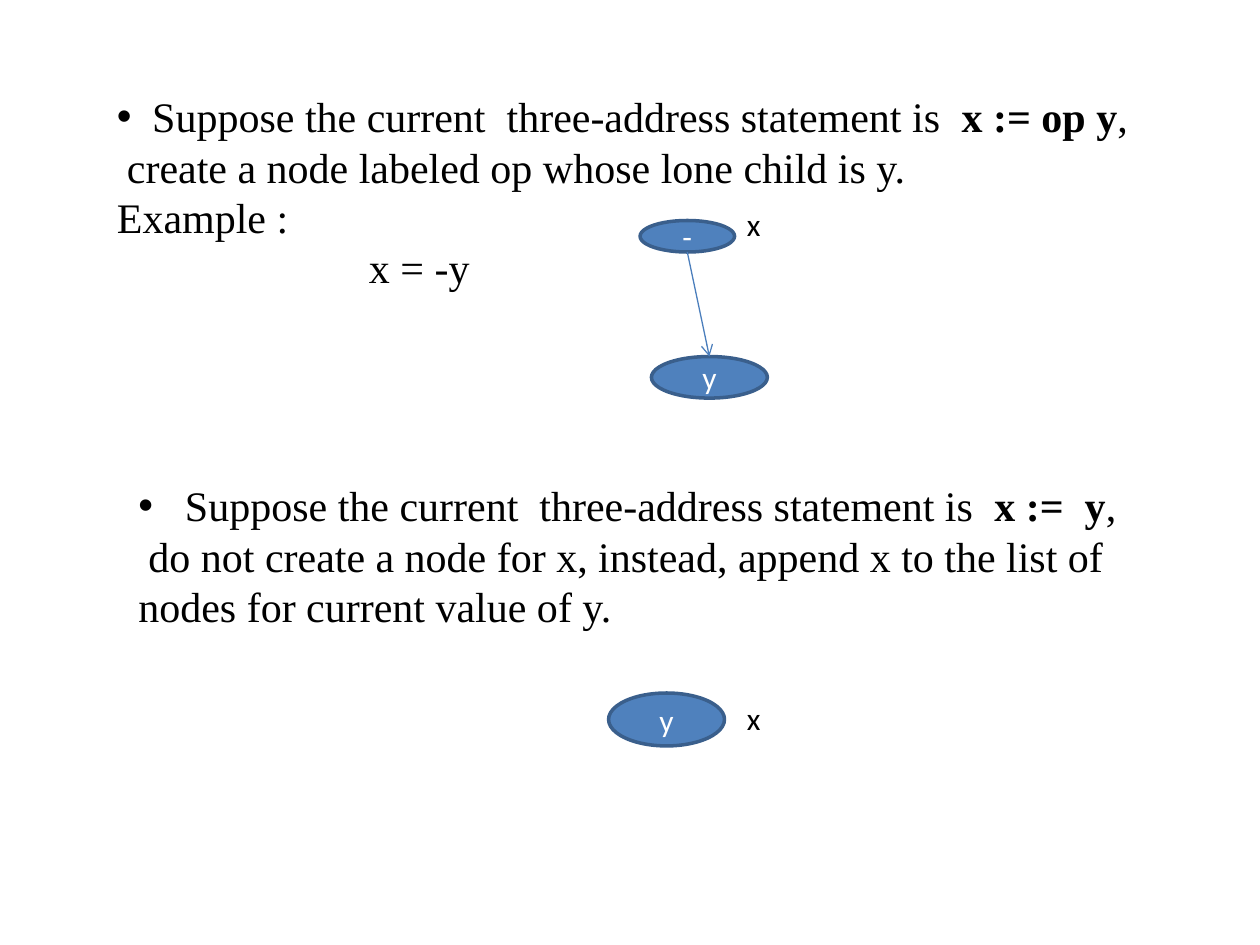
from lxml.etree import SubElement
from pptx import Presentation
from pptx.dml.color import RGBColor
from pptx.enum.shapes import MSO_CONNECTOR, MSO_SHAPE
from pptx.enum.text import MSO_ANCHOR, PP_ALIGN
from pptx.oxml.ns import qn
from pptx.util import Inches, Pt

COLORS = {"text": "000000", "node": "4F81BD", "outline": "3A5F8C",
          "edge": "4B7EBC", "node_text": "FFFFFF"}
BODY_FONT = "Times New Roman"
LABEL_FONT = "Calibri"


def color(key):
    return RGBColor.from_string(COLORS[key])


def set_font(paragraph, name, size, color_key):
    paragraph.font.name = name
    paragraph.font.size = Pt(size)
    paragraph.font.color.rgb = color(color_key)


def set_indent(paragraph, margin, first_line, bullet=False):
    properties = paragraph._p.get_or_add_pPr()
    properties.set("marL", str(Inches(margin)))
    properties.set("indent", str(Inches(first_line)))
    if bullet:
        marker_font = SubElement(properties, qn("a:buFont"))
        marker_font.set("typeface", "Arial")
        SubElement(properties, qn("a:buChar")).set("char", "•")


def add_text_frame(slide, left, top, width, height):
    box = slide.shapes.add_textbox(
        Inches(left), Inches(top), Inches(width), Inches(height))
    box.text_frame.word_wrap = True
    return box.text_frame


def add_rule(slide, left, top, width, height, hang, statement, lines):
    frame = add_text_frame(slide, left, top, width, height)
    heading = frame.paragraphs[0]
    heading.add_run().text = "Suppose the current  three-address statement is  "
    formula = heading.add_run()
    formula.text = statement
    formula.font.bold = True
    heading.add_run().text = ","
    set_indent(heading, hang, -hang, bullet=True)
    for line, first_line in lines:
        paragraph = frame.add_paragraph()
        paragraph.text = line
        set_indent(paragraph, 0, first_line)
    for paragraph in frame.paragraphs:
        set_font(paragraph, BODY_FONT, 24, "text")


def add_label(slide, left, top, width, height, text):
    paragraph = add_text_frame(slide, left, top, width, height).paragraphs[0]
    paragraph.text = text
    set_font(paragraph, LABEL_FONT, 18, "text")


def add_node(slide, left, top, width, height, text):
    node = slide.shapes.add_shape(
        MSO_SHAPE.OVAL, Inches(left), Inches(top), Inches(width), Inches(height))
    node.shadow.inherit = False
    node.fill.solid()
    node.fill.fore_color.rgb = color("node")
    node.line.color.rgb = color("outline")
    node.line.width = Pt(2)
    node.text_frame.vertical_anchor = MSO_ANCHOR.MIDDLE
    paragraph = node.text_frame.paragraphs[0]
    paragraph.text = text
    paragraph.alignment = PP_ALIGN.CENTER
    set_font(paragraph, LABEL_FONT, 18, "node_text")
    return node


def add_edge(slide, parent, child):
    edge = slide.shapes.add_connector(
        MSO_CONNECTOR.STRAIGHT,
        parent.left + parent.width // 2, parent.top + parent.height,
        child.left + child.width // 2, child.top)
    edge.end_connect(child, 0)
    edge.line.color.rgb = color("edge")
    edge.line.width = Pt(0.75)
    SubElement(edge.line._get_or_add_ln(), qn("a:tailEnd")).set("type", "arrow")
    SubElement(edge._element.spPr, qn("a:effectLst"))


def main():
    presentation = Presentation()
    presentation.slide_width = Inches(10)
    presentation.slide_height = Inches(7.5)
    slide = presentation.slides.add_slide(presentation.slide_layouts[6])

    add_rule(slide, 0.83, 0.67, 8.5, 1.72, 0.28, "x := op y", [
        ("create a node labeled op whose lone child is y.", 0.08),
        ("Example :", 0),
        ("x = -y", 2)])
    operator = add_node(slide, 5.08, 1.75, 0.75, 0.25, "-")
    operand = add_node(slide, 5.17, 2.83, 0.92, 0.33, "y")
    add_label(slide, 5.83, 1.58, 0.58, 0.4, "x")
    add_edge(slide, operator, operand)

    add_rule(slide, 1, 3.76, 8.33, 1.31, 0.37, "x :=  y", [
        ("do not create a node for x, instead, append x to the list of "
         "nodes for current value of y.", 0.08)])
    add_node(slide, 4.83, 5.5, 0.92, 0.42, "y")
    add_label(slide, 5.83, 5.5, 0.67, 0.42, "x")

    presentation.save("out.pptx")


if __name__ == "__main__":
    main()
